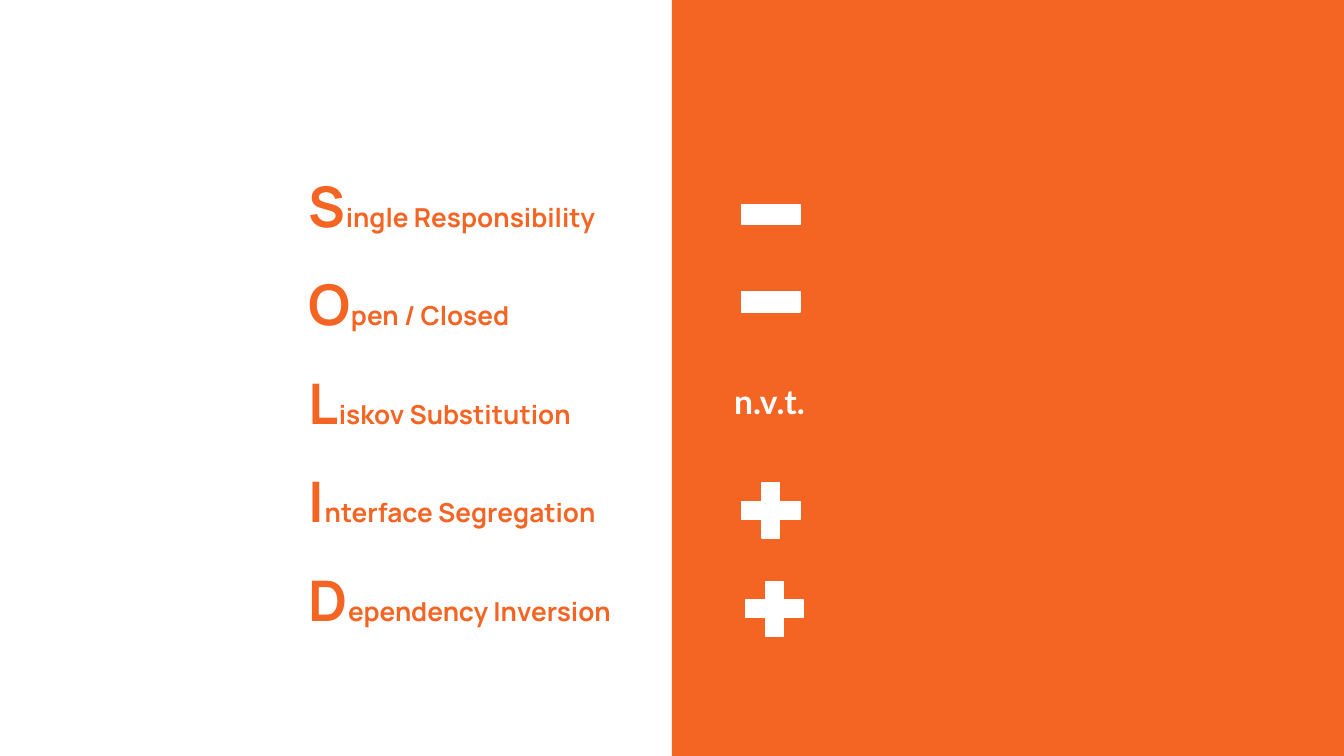
from pptx import Presentation
from pptx.dml.color import RGBColor
from pptx.enum.shapes import MSO_SHAPE
from pptx.enum.text import MSO_ANCHOR, PP_ALIGN
from pptx.util import Cm, Pt

ORANGE = RGBColor(0xF4, 0x65, 0x24)
WHITE = RGBColor(0xFF, 0xFF, 0xFF)

PRINCIPLES = [
    "Single Responsibility",
    "Open / Closed",
    "Liskov Substitution",
    "Interface Segregation",
    "Dependency Inversion",
]
MINUS, PLUS = MSO_SHAPE.MATH_MINUS, MSO_SHAPE.MATH_PLUS
SCORES = [
    (MINUS, 13.82, 3.23, 1.65),
    (MINUS, 13.82, 4.88, 1.65),
    (PLUS, 13.82, 8.94, 1.42),
    (PLUS, 13.89, 10.8, 1.42),
]
SCORE_WIDTH = 1.5
NOT_APPLICABLE = "n.v.t."
WIDTH, HEIGHT = 25.4, 14.29


def add_shape(s, kind, x, y, w, h, color):
    sp = s.shapes.add_shape(kind, Cm(x), Cm(y), Cm(w), Cm(h))
    sp.shadow.inherit = False
    sp.fill.solid()
    sp.fill.fore_color.rgb = color
    sp.line.color.rgb = color
    sp.line.width = Pt(0.75)
    return sp


def add_text_box(s, x, y, w, h, anchor):
    tf = s.shapes.add_textbox(Cm(x), Cm(y), Cm(w), Cm(h)).text_frame
    tf.word_wrap = True
    tf.vertical_anchor = anchor
    tf.margin_left = tf.margin_right = Cm(0.25)
    tf.margin_top = tf.margin_bottom = Cm(0.25)
    return tf


def add_run(p, text, font, size, color):
    r = p.add_run()
    r.text = text
    r.font.name = font
    r.font.size = Pt(size)
    r.font.bold = True
    r.font.color.rgb = color


prs = Presentation()
prs.slide_width, prs.slide_height = Cm(WIDTH), Cm(HEIGHT)
s = prs.slides.add_slide(prs.slide_layouts[6])

panel = add_shape(s, MSO_SHAPE.RECTANGLE, WIDTH / 2, 0, WIDTH / 2, HEIGHT, ORANGE)
panel.line.fill.background()

tf = add_text_box(s, 5.59, 2.08, 6.43, 10.13, MSO_ANCHOR.BOTTOM)
for i, name in enumerate(PRINCIPLES):
    p = tf.add_paragraph() if i else tf.paragraphs[0]
    if i:
        p.space_before = Pt(16.8)
    add_run(p, name[0], "Manrope", 30, ORANGE)
    add_run(p, name[1:], "Manrope", 14, ORANGE)

for kind, x, y, h in SCORES:
    sp = add_shape(s, kind, x, y, SCORE_WIDTH, h, WHITE)
    sp.adjustments[0] = 0.235

tf = add_text_box(s, 13.49, 6.96, 2.11, 1.27, MSO_ANCHOR.TOP)
p = tf.paragraphs[0]
p.alignment = PP_ALIGN.CENTER
add_run(p, NOT_APPLICABLE, "Lato", 18, WHITE)

prs.save("out.pptx")
